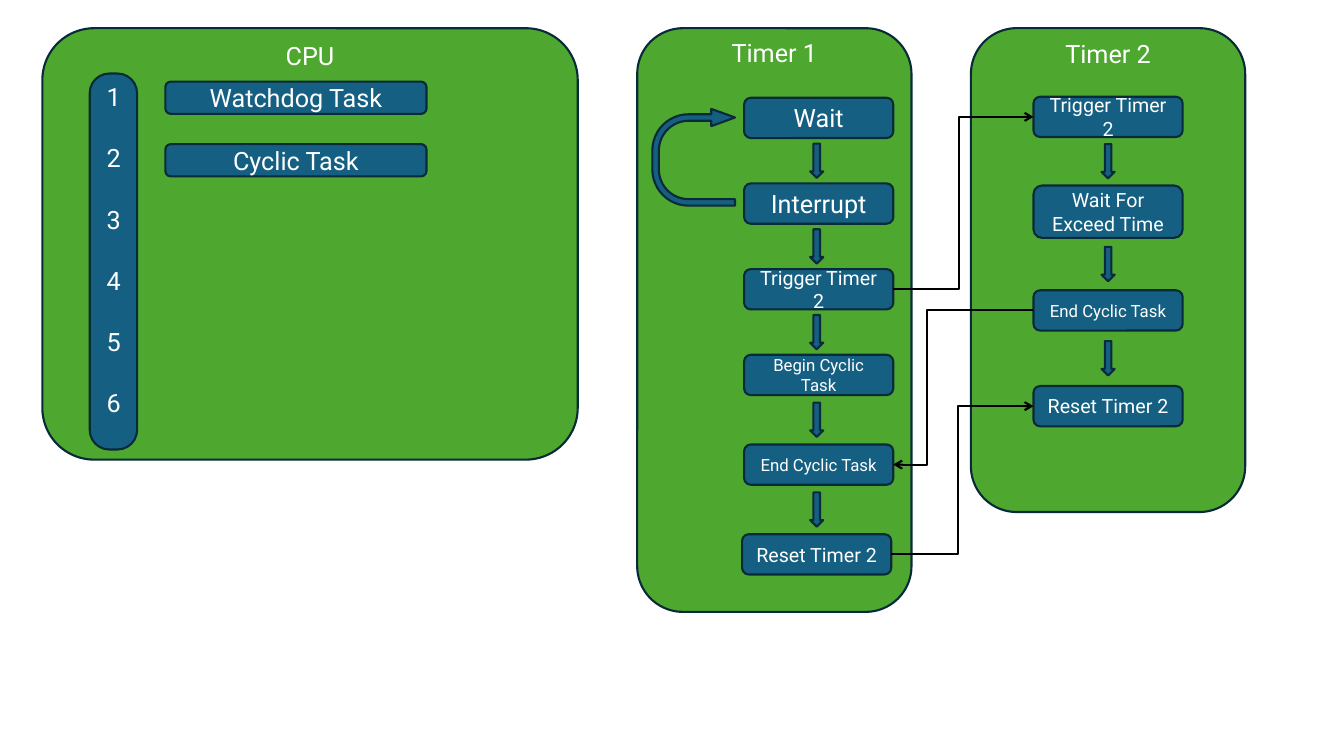
from dataclasses import dataclass

from lxml.etree import SubElement
from pptx import Presentation
from pptx.dml.color import RGBColor
from pptx.enum.shapes import MSO_CONNECTOR, MSO_SHAPE
from pptx.enum.text import MSO_ANCHOR, PP_ALIGN
from pptx.oxml.ns import qn
from pptx.util import Inches, Pt


@dataclass(frozen=True)
class Theme:
    font: str = "Roboto"
    panel: RGBColor = RGBColor(0x4E, 0xA7, 0x2E)
    step: RGBColor = RGBColor(0x15, 0x60, 0x82)
    outline: RGBColor = RGBColor(0x09, 0x2A, 0x39)
    text: RGBColor = RGBColor(0xFF, 0xFF, 0xFF)
    link: RGBColor = RGBColor(0x00, 0x00, 0x00)
    large: int = 18
    medium: int = 14
    small: int = 12
    line: float = 1.5


THEME = Theme()
LEFT_SITE, RIGHT_SITE = 1, 3
STEP_WIDTH, STEP_HEIGHT = 1.48, 0.4
ARROW_LENGTH, ARROW_THICKNESS = 0.34, 0.13

# Each step: text, type size, left, top, height
TIMER_1_STEPS = [
    ("Wait", THEME.large, 7.38, 0.97, STEP_HEIGHT),
    ("Interrupt", THEME.large, 7.38, 1.82, STEP_HEIGHT),
    ("Trigger Timer 2", THEME.medium, 7.38, 2.67, STEP_HEIGHT),
    ("Begin Cyclic Task", THEME.small, 7.38, 3.52, STEP_HEIGHT),
    ("End Cyclic Task", THEME.small, 7.38, 4.41, STEP_HEIGHT),
    ("Reset Timer 2", THEME.medium, 7.36, 5.3, STEP_HEIGHT),
]
TIMER_2_STEPS = [
    ("Trigger Timer 2", THEME.medium, 10.25, 0.96, STEP_HEIGHT),
    ("Wait For Exceed Time", THEME.medium, 10.25, 1.84, 0.52),
    ("End Cyclic Task", THEME.small, 10.25, 2.88, STEP_HEIGHT),
    ("Reset Timer 2", THEME.medium, 10.25, 3.83, STEP_HEIGHT),
]


def write(frame, *lines, size=THEME.large, align=PP_ALIGN.CENTER, gap=0):
    """Fill a text frame with one paragraph per line, gap points apart."""
    frame.word_wrap = True
    for index, line in enumerate(lines):
        para = frame.paragraphs[0] if index == 0 else frame.add_paragraph()
        para.alignment = align
        para.space_before = Pt(gap if index else 0)
        span = para.add_run()
        span.text = line
        span.font.name = THEME.font
        span.font.size = Pt(size)
        span.font.color.rgb = THEME.text


def add_block(shapes, kind, left, top, width, height, fill=THEME.step, adjust=(), turn=0):
    block = shapes.add_shape(kind, Inches(left), Inches(top), Inches(width), Inches(height))
    block.shadow.inherit = False
    block.fill.solid()
    block.fill.fore_color.rgb = fill
    block.line.color.rgb = THEME.outline
    block.line.width = Pt(THEME.line)
    block.rotation = turn
    for index, value in enumerate(adjust):
        block.adjustments[index] = value
    return block


def add_label(shapes, left, top, width, height, *lines, **style):
    box = shapes.add_textbox(Inches(left), Inches(top), Inches(width), Inches(height))
    write(box.text_frame, *lines, **style)


def add_step(shapes, text, size, left, top, height, width=STEP_WIDTH):
    step = add_block(shapes, MSO_SHAPE.ROUNDED_RECTANGLE, left, top, width, height)
    step.text_frame.vertical_anchor = MSO_ANCHOR.MIDDLE
    write(step.text_frame, text, size=size)
    return step


def add_flow(shapes, steps, arrow_center):
    """Draw a column of steps with a down arrow midway in each gap."""
    boxes = [add_step(shapes, *step) for step in steps]
    for (*_, top, height), (*_, next_top, _) in zip(steps, steps[1:]):
        middle = (top + height + next_top) / 2
        add_block(shapes, MSO_SHAPE.RIGHT_ARROW, arrow_center - ARROW_LENGTH / 2,
                  middle - ARROW_THICKNESS / 2, ARROW_LENGTH, ARROW_THICKNESS, turn=90)
    return boxes


def add_link(shapes, source, source_site, target, target_site, bend):
    """Join two steps with an elbow arrow; bend is the share of the way to the corner."""
    link = shapes.add_connector(MSO_CONNECTOR.ELBOW, 0, 0, 0, 0)
    link.begin_connect(source, source_site)
    link.end_connect(target, target_site)
    link.line.color.rgb = THEME.link
    link.line.width = Pt(THEME.line)
    properties = link._element.spPr
    SubElement(properties.find(qn("a:ln")), qn("a:tailEnd"), type="arrow")
    SubElement(properties, qn("a:effectLst"))
    guides = properties.find(qn("a:prstGeom")).get_or_add_avLst()
    SubElement(guides, qn("a:gd"), name="adj1", fmla=f"val {round(bend * 100000)}")


def add_timer(shapes, title, left, height, title_top):
    add_block(shapes, MSO_SHAPE.ROUNDED_RECTANGLE, left, 0.28, 2.72, height, THEME.panel)
    add_label(shapes, left + 0.15, title_top, 2.42, 0.4, title)


def add_cpu(page):
    shapes = page.shapes.add_group_shape().shapes
    add_block(shapes, MSO_SHAPE.ROUNDED_RECTANGLE, 0.42, 0.28, 5.31, 4.28,
              THEME.panel, adjust=[0.12])
    add_label(shapes, 1.54, 0.35, 3.07, 0.68, "CPU")
    add_block(shapes, MSO_SHAPE.ROUNDED_RECTANGLE, 0.89, 0.73, 0.47, 3.73, adjust=[0.413])
    add_label(shapes, 0.96, 0.76, 0.47, 3.43, *"123456", align=PP_ALIGN.LEFT, gap=22.1)
    for row, task in enumerate(["Watchdog Task", "Cyclic Task"]):
        add_step(shapes, task, THEME.large, 1.64, 0.81 + 0.62 * row, 0.32, width=2.59)


def main():
    deck = Presentation()
    deck.slide_width, deck.slide_height = Inches(13.33), Inches(7.5)
    page = deck.slides.add_slide(deck.slide_layouts[6])
    shapes = page.shapes

    add_cpu(page)
    add_timer(shapes, "Timer 1", left=6.32, height=5.79, title_top=0.32)
    add_timer(shapes, "Timer 2", left=9.63, height=4.8, title_top=0.33)
    _, _, trigger_1, _, end_1, reset_1 = add_flow(shapes, TIMER_1_STEPS, arrow_center=8.1)
    trigger_2, _, end_2, reset_2 = add_flow(shapes, TIMER_2_STEPS, arrow_center=10.99)
    add_block(shapes, MSO_SHAPE.U_TURN_ARROW, 6.4, 1.15, 0.96, 0.82,
              adjust=[0.079, 0.104, 0.287, 0.438, 1], turn=270)

    add_link(shapes, trigger_1, RIGHT_SITE, trigger_2, LEFT_SITE, bend=0.47)
    add_link(shapes, reset_1, RIGHT_SITE, reset_2, LEFT_SITE, bend=0.47)
    add_link(shapes, end_2, LEFT_SITE, end_1, RIGHT_SITE, bend=0.76)
    deck.save("out.pptx")


if __name__ == "__main__":
    main()
